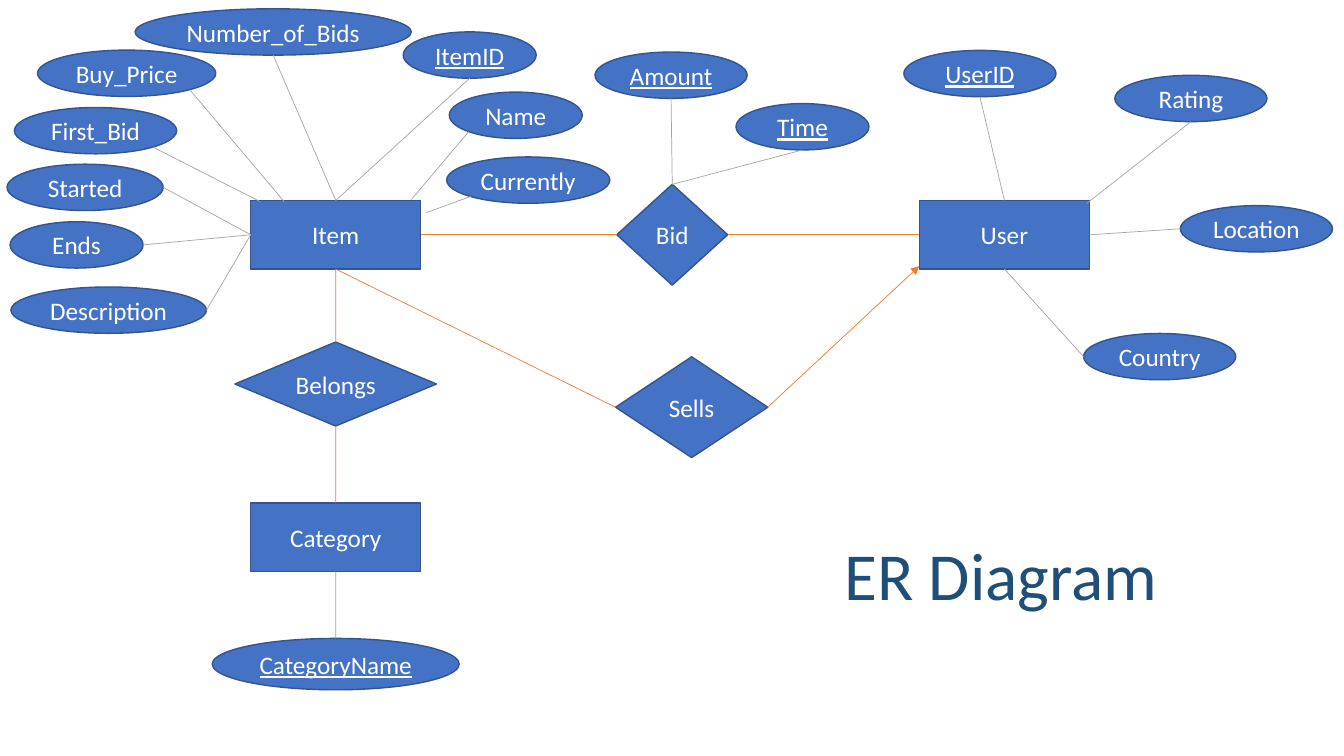
from pptx import Presentation
from pptx.util import Pt
from pptx.dml.color import RGBColor
from pptx.enum.shapes import MSO_SHAPE as Kind, MSO_CONNECTOR as Wire
from pptx.enum.text import PP_ALIGN as Align, MSO_ANCHOR as Anchor, MSO_AUTO_SIZE as Auto
from pptx.oxml import parse_xml
from pptx.oxml.ns import nsdecls

BLUE, EDGE, WHITE, NAVY = "4472C4", "325491", "FFFFFF", "1F4E79"
GREY, ORANGE = "A5A5A5", "ED7D31"
BOX_W, BOX_H, OVAL_H = 121.5, 49, 33.1

# name: left, top
ENTITIES = {"Item": (179.1, 143.2), "User": (656.7, 143.2), "Category": (179.1, 359.3)}
# name: left, top, width, height
RELATIONS = {
    "Bid": (440.6, 131.7, 79.2, 72),
    "Sells": (439.7, 254.9, 108.7, 72),
    "Belongs": (167.8, 244.3, 144, 60),
}
# name: left, top, width
FIELDS = {
    "Number_of_Bids": (96.5, 6.3, 197.3),
    "Buy_Price": (26.8, 35.8, 127.4),
    "First_Bid": (10.3, 76.8, 115.9),
    "Started": (5, 117.3, 111.6),
    "Ends": (7.2, 158.4, 95),
    "Description": (7.8, 205, 139.7),
    "ItemID": (288, 22.8, 95),
    "Name": (320.9, 65.8, 95),
    "Currently": (319, 112.1, 116.6),
    "Amount": (425, 37.2, 108.7),
    "Time": (525.7, 74, 95),
    "UserID": (645.6, 36, 108.7),
    "Rating": (796.3, 53.8, 108.7),
    "Location": (843.1, 146.9, 108.7),
    "Country": (774, 238.2, 108.7),
    "CategoryName": (151.6, 456, 176.4),
}
KEYS = {"ItemID", "Amount", "Time", "UserID", "CategoryName"}

# start shape, its site, end shape, its site or a free point
FIELD_LINKS = [
    ("Number_of_Bids", "bottom", "Item", "top"),
    ("Buy_Price", "low right", "Item", (203, 144)),
    ("First_Bid", "low right", "Item", (185.8, 144)),
    ("Started", "right", "Item", "left"),
    ("Ends", "right", "Item", "left"),
    ("Description", "right", "Item", "left"),
    ("ItemID", "bottom", "Item", "top"),
    ("Name", "low left", "Item", (293.8, 142.6)),
    ("Currently", "low left", "Item", (304.6, 151.9)),
    ("Amount", "bottom", "Bid", "top"),
    ("Time", "bottom", "Bid", "top"),
    ("UserID", "bottom", "User", "top"),
    ("Rating", "bottom", "User", (776.2, 145.4)),
    ("Location", "left", "User", "right"),
    ("Country", "left", "User", "bottom"),
    ("CategoryName", "top", "Category", "bottom"),
]
ROLE_LINKS = [
    ("Item", "right", "Bid", "left"),
    ("Bid", "right", "User", "left"),
    ("Item", "bottom", "Sells", "left"),
    ("Item", "bottom", "Belongs", "top"),
    ("Belongs", "bottom", "Category", "top"),
]
ARROW_LINK = ("Sells", "right", "User", (656.6, 190.1))

# site: fractions of width and height; diagonals lie on the oval's rim
DIAG = 0.5 + 0.125 ** 0.5
SITES = {
    "top": (0.5, 0), "bottom": (0.5, 1), "left": (0, 0.5), "right": (1, 0.5),
    "low left": (1 - DIAG, DIAG), "low right": (DIAG, DIAG),
}
TITLE = ("ER Diagram", (579.2, 377.3, 271.4, 65.5))


def tint(code):
    """Turn a hex string into a colour."""
    return RGBColor.from_string(code)


def write(frame, text, size, color, line=False):
    """Put one centred line of text in a frame."""
    para = frame.paragraphs[0]
    para.alignment = Align.CENTER
    run = para.add_run()
    run.text = text
    look = {"name": "Calibri", "size": Pt(size), "underline": line or None}
    for key, val in look.items():
        setattr(run.font, key, val)
    run.font.color.rgb = tint(color)


def node(kind, name, left, top, wide, high):
    """Draw a labelled blue shape and keep its frame for the links."""
    part = slide.shapes.add_shape(kind, Pt(left), Pt(top), Pt(wide), Pt(high))
    part.shadow.inherit = False
    part.fill.solid()
    part.fill.fore_color.rgb = tint(BLUE)
    part.line.color.rgb = tint(EDGE)
    part.line.width = Pt(1)
    part.text_frame.vertical_anchor = Anchor.MIDDLE
    write(part.text_frame, name, 18, WHITE, name in KEYS)
    frames[name] = (left, top, wide, high)


def spot(name, site):
    """Find the point of a named site, or pass a free point through."""
    if site not in SITES:
        return site
    left, top, wide, high = frames[name]
    across, down = SITES[site]
    return left + across * wide, top + down * high


def link(color, start, leave, end, enter, arrow=False):
    """Join two shapes with a thin line."""
    ends = spot(start, leave) + spot(end, enter)
    wire = slide.shapes.add_connector(Wire.STRAIGHT, *map(Pt, ends))
    wire.line.color.rgb = tint(color)
    wire.line.width = Pt(0.5)
    props = wire.element.spPr
    if arrow:
        head = parse_xml(f'<a:tailEnd {nsdecls("a")} type="triangle"/>')
        props.get_or_add_ln().append(head)
    props.append(parse_xml(f'<a:effectLst {nsdecls("a")}/>'))


deck = Presentation()
deck.slide_width, deck.slide_height = Pt(960), Pt(540)
slide = deck.slides.add_slide(deck.slide_layouts[6])
frames = {}

for name, place in ENTITIES.items():
    node(Kind.RECTANGLE, name, *place, BOX_W, BOX_H)
for name, place in RELATIONS.items():
    node(Kind.DIAMOND, name, *place)
for name, place in FIELDS.items():
    high = 36.7 if name == "CategoryName" else OVAL_H
    node(Kind.OVAL, name, *place, high)

for ends in FIELD_LINKS:
    link(GREY, *ends)
for ends in ROLE_LINKS:
    link(ORANGE, *ends)
link(ORANGE, *ARROW_LINK, arrow=True)

text, place = TITLE
title = slide.shapes.add_textbox(*map(Pt, place))
title.text_frame.word_wrap = True
title.text_frame.auto_size = Auto.SHAPE_TO_FIT_TEXT
write(title.text_frame, text, 48, NAVY)

deck.save("out.pptx")
